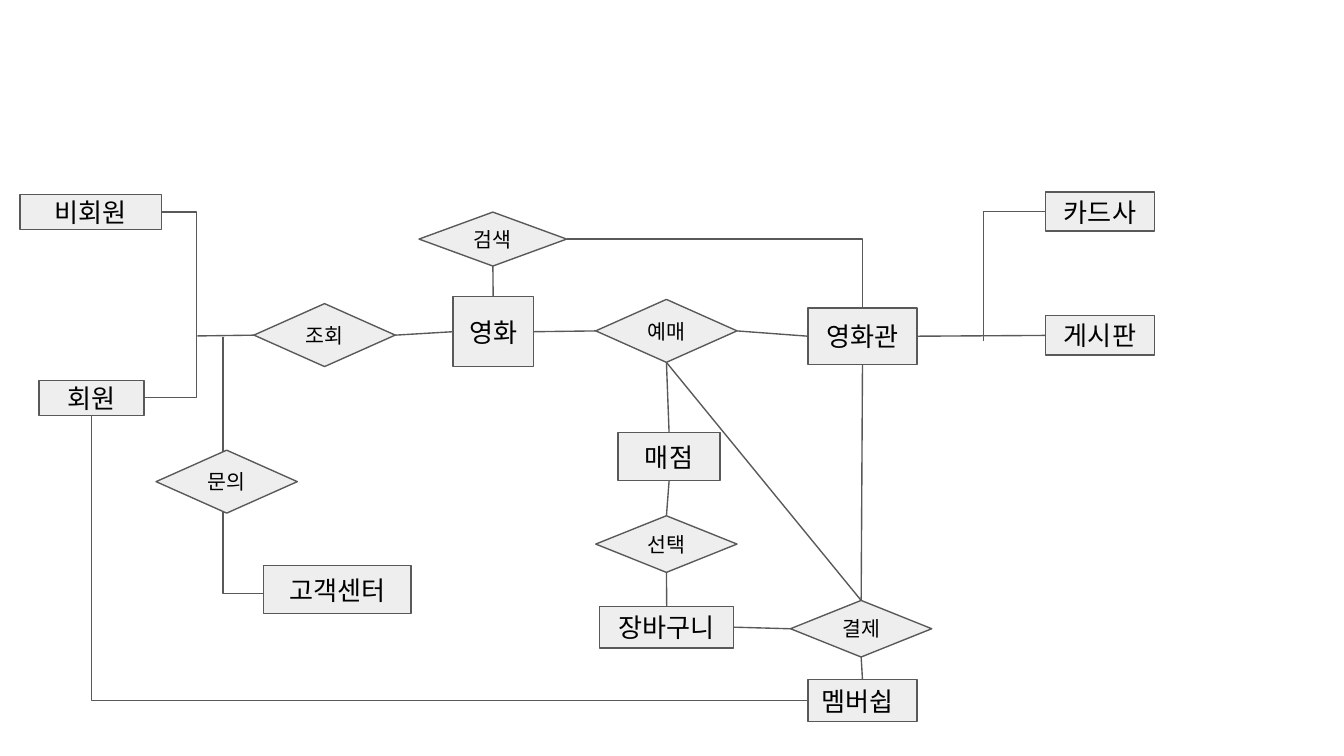
from lxml.etree import SubElement
from pptx import Presentation
from pptx.dml.color import RGBColor
from pptx.enum.shapes import MSO_CONNECTOR, MSO_SHAPE
from pptx.enum.text import MSO_ANCHOR, PP_ALIGN
from pptx.oxml.ns import qn
from pptx.util import Cm, Pt

LINE_COLOR = "595959"
TOP, LEFT, BOTTOM, RIGHT = range(4)  # connection sites


def paint(target, color):
    """Give a fill a solid colour."""
    target.solid()
    target.fore_color.rgb = RGBColor.from_string(color)


def write_text(shape, text, size=14, color="000000", font="Arial", align=PP_ALIGN.CENTER):
    frame = shape.text_frame
    frame.word_wrap = True
    frame.vertical_anchor = MSO_ANCHOR.MIDDLE
    frame.margin_left = frame.margin_right = Cm(0.25)
    frame.margin_top = frame.margin_bottom = Cm(0.25)
    paragraph = frame.paragraphs[0]
    paragraph.alignment = align
    run = paragraph.add_run()
    run.text = text
    run.font.size = Pt(size)
    run.font.name = font
    paint(run.font.fill, color)


presentation = Presentation()
presentation.slide_width = Cm(25.4)
presentation.slide_height = Cm(14.29)
slide = presentation.slides.add_slide(presentation.slide_layouts[6])

# Entities (rectangles) and relations (diamonds): left, top, width, height
entities = {
    "회원": (0.74, 7.19, 1.98, 0.66),
    "비회원": (0.38, 3.68, 2.67, 0.66),
    "영화": (8.56, 5.61, 1.52, 1.32),
    "매점": (11.68, 8.18, 1.93, 0.91),
    "영화관": (15.27, 5.82, 2.06, 1.07),
    "장바구니": (11.33, 11.46, 2.54, 0.79),
    "게시판": (19.76, 5.97, 2.06, 0.74),
    "카드사": (19.76, 3.63, 2.06, 0.74),
    "멤버쉽": (15.27, 12.85, 2.06, 0.79),
    "고객센터": (4.98, 10.69, 2.79, 0.91),
}
relations = {
    "예매": (11.26, 5.66, 2.67, 1.19),
    "검색": (7.92, 4.01, 2.79, 1.02),
    "조회": (4.8, 5.74, 2.67, 1.19),
    "선택": (11.26, 9.75, 2.67, 1.07),
    "결제": (14.94, 11.35, 2.67, 1.07),
    "문의": (2.95, 8.51, 2.67, 1.19),
}
nodes = {}
for group, kind, size in ((entities, MSO_SHAPE.RECTANGLE, 14),
                          (relations, MSO_SHAPE.FLOWCHART_DECISION, 11)):
    for name, box in group.items():
        shape = slide.shapes.add_shape(kind, *map(Cm, box))
        shape.shadow.inherit = False
        paint(shape.fill, "EEEEEE")
        paint(shape.line.fill, LINE_COLOR)
        shape.line.width = Pt(0.75)
        align = PP_ALIGN.LEFT if name == "멤버쉽" else PP_ALIGN.CENTER
        write_text(shape, name, size=size, align=align)
        nodes[name] = shape

# Links: start and end are (node, site) or a free (x, y) point;
# elbows add preset, box, rotation, flip and bend position
links = [
    (("조회", RIGHT), ("영화", LEFT), None),
    (("영화", RIGHT), ("예매", LEFT), None),
    (("예매", BOTTOM), ("매점", TOP), None),
    (("매점", BOTTOM), ("선택", TOP), None),
    (("선택", BOTTOM), ("장바구니", TOP), None),
    (("장바구니", RIGHT), ("결제", LEFT), None),
    (("예매", RIGHT), ("영화관", LEFT), None),
    (("영화관", BOTTOM), ("결제", TOP), None),
    (("검색", BOTTOM), ("영화", TOP), None),
    (("결제", BOTTOM), ("멤버쉽", TOP), None),
    (("예매", BOTTOM), ("결제", TOP), None),
    (("조회", LEFT), (3.73, 6.35), None),
    (("영화관", RIGHT), ("게시판", LEFT), None),
    (("비회원", RIGHT), ("회원", RIGHT),
     ("bentConnector3", (2.72, 4.01, 0.34, 3.51), 0, True, -192200)),
    ((4.22, 6.38), ("고객센터", LEFT),
     ("bentConnector3", (2.18, 8.41, 4.83, 0.76), 270, True, 100400)),
    (("회원", BOTTOM), ("멤버쉽", LEFT),
     ("bentConnector2", (5.81, 3.78, 5.39, 13.54), 270, True, None)),
    (("검색", RIGHT), ("영화관", TOP),
     ("bentConnector2", (10.71, 4.52, 5.59, 1.3), 0, False, None)),
    ((18.59, 6.45), ("카드사", LEFT),
     ("bentConnector2", (17.95, 4.64, 2.45, 1.17), 270, False, None)),
]
for start, end, elbow in links:
    kind = MSO_CONNECTOR.ELBOW if elbow else MSO_CONNECTOR.STRAIGHT
    points = [(0, 0) if point[0] in nodes else point for point in (start, end)]
    connector = slide.shapes.add_connector(kind, *map(Cm, points[0] + points[1]))
    if start[0] in nodes:
        connector.begin_connect(nodes[start[0]], start[1])
    if end[0] in nodes:
        connector.end_connect(nodes[end[0]], end[1])
    paint(connector.line.fill, LINE_COLOR)
    connector.line.width = Pt(0.75)
    properties = connector._element.spPr
    SubElement(properties, qn("a:effectLst"))
    if elbow:
        preset, box, rotation, flipped, bend = elbow
        connector.left, connector.top, connector.width, connector.height = map(Cm, box)
        transform = properties.find(qn("a:xfrm"))
        transform.set("rot", str(rotation * 60000))
        transform.set("flipH", str(int(flipped)))
        transform.set("flipV", "0")
        geometry = properties.find(qn("a:prstGeom"))
        geometry.set("prst", preset)
        if bend is not None:
            guide = SubElement(geometry.find(qn("a:avLst")), qn("a:gd"))
            guide.set("name", "adj1")
            guide.set("fmla", f"val {bend}")

# The inquiry diamond covers the elbow that runs through it
slide.shapes._spTree.append(nodes["문의"]._element)

presentation.save("out.pptx")
